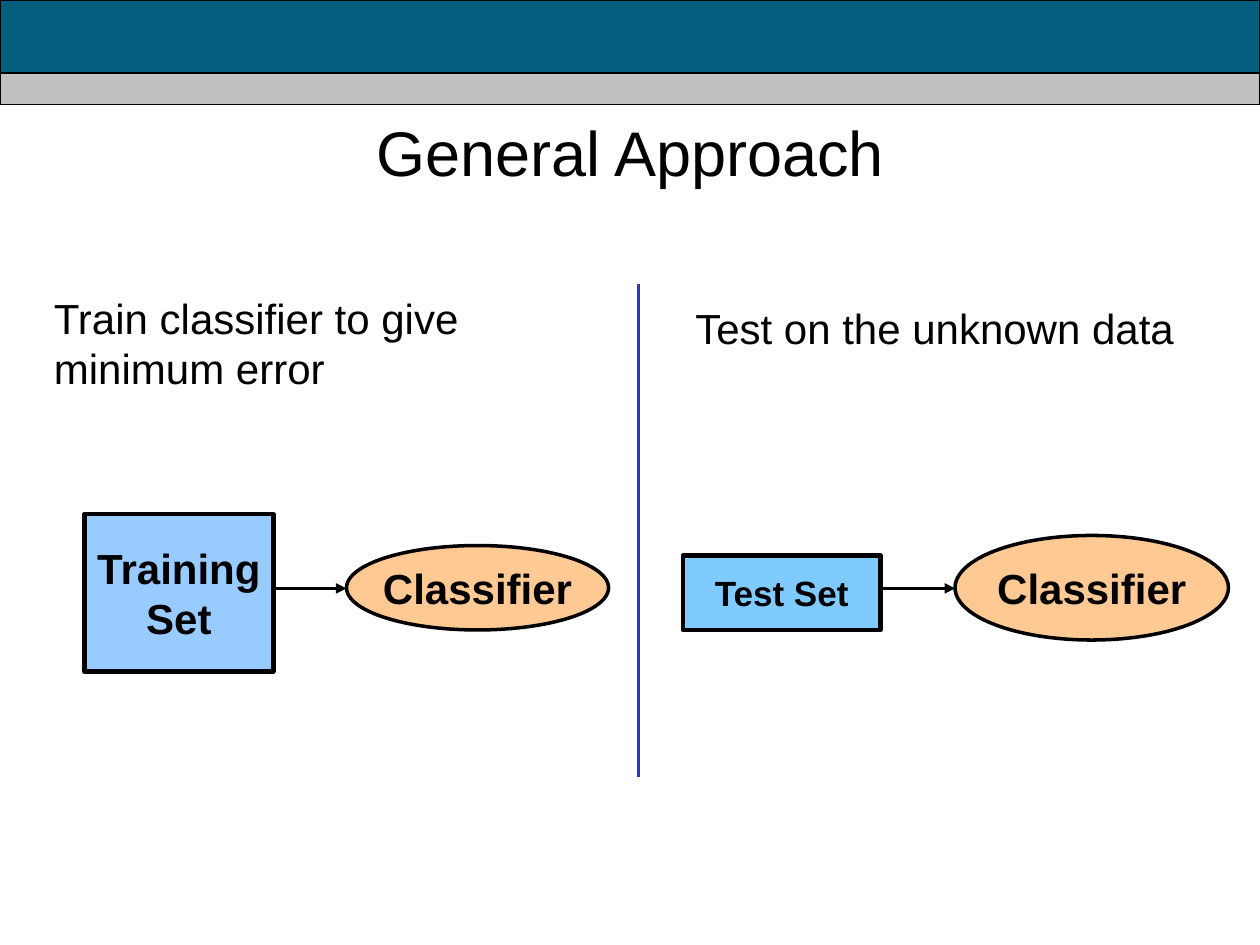
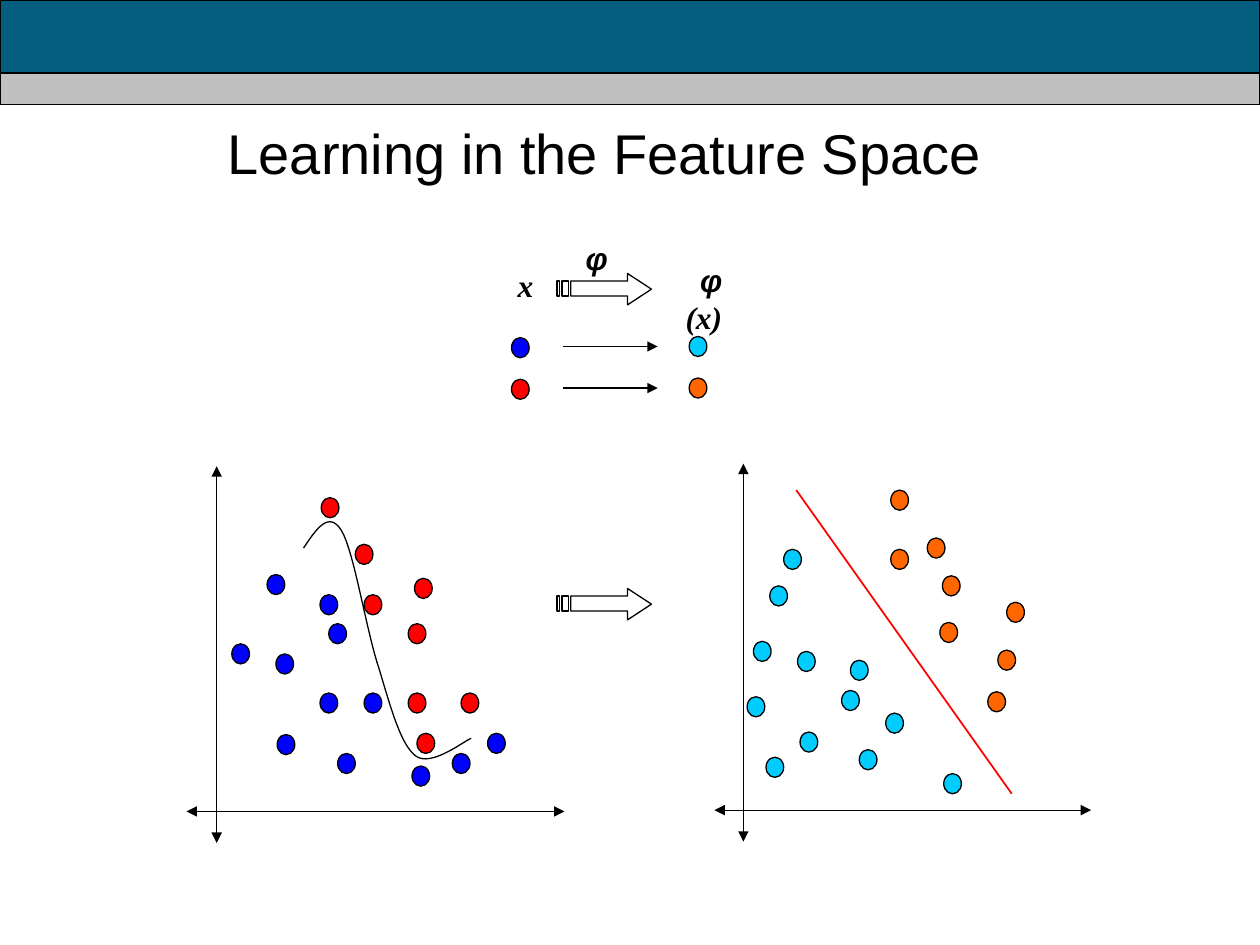
from dataclasses import dataclass
from itertools import pairwise

from lxml.etree import SubElement
from pptx import Presentation
from pptx.dml.color import RGBColor
from pptx.enum.shapes import MSO_CONNECTOR, MSO_SHAPE
from pptx.enum.text import MSO_ANCHOR, PP_ALIGN
from pptx.oxml.ns import qn
from pptx.util import Inches, Pt

BLACK = RGBColor(0, 0, 0)
TEAL = RGBColor(0x04, 0x5E, 0x7E)
GRAY = RGBColor(0xC0, 0xC0, 0xC0)
SKY = RGBColor(0x33, 0x99, 0xFF)
AZURE = RGBColor(0x00, 0x99, 0xFF)
PEACH = RGBColor(0xFF, 0x95, 0x2B)
INDIGO = RGBColor(0x33, 0x33, 0xCC)
RED = RGBColor(0xFF, 0, 0)
BLUE = RGBColor(0, 0, 0xFF)
ORANGE = RGBColor(0xFF, 0x66, 0)
CYAN = RGBColor(0, 0xCC, 0xFF)

SANS, SERIF = "Arial", "Times New Roman"
TITLE_ONLY = 5
DOT_WIDTH, DOT_HEIGHT = 0.14, 0.16
Point = tuple[float, float]


@dataclass
class Node:
    """A labelled box or oval of the classifier flow."""
    text: str
    kind: MSO_SHAPE
    box: tuple[float, float, float, float]
    fill: RGBColor
    line_width: float
    size: int = 24


@dataclass
class Plot:
    """Two crossing axes and the dots of each class, by top left corner."""
    vertical: tuple[Point, Point]
    horizontal: tuple[Point, Point]
    dots: dict[RGBColor, list[Point]]


NODES = [
    Node("Training Set", MSO_SHAPE.RECTANGLE, (0.67, 4.08, 1.5, 1.25), SKY, 2.5),
    Node("Classifier", MSO_SHAPE.OVAL, (2.75, 4.33, 2.08, 0.67), PEACH, 2),
    Node("Test Set", MSO_SHAPE.RECTANGLE, (5.42, 4.41, 1.57, 0.59), AZURE, 2.5, 20),
    Node("Classifier", MSO_SHAPE.OVAL, (7.58, 4.25, 2.17, 0.83), PEACH, 2),
]

INPUT_SPACE = Plot(
    ((1.72, 3.7), (1.72, 6.69)),
    ((1.48, 6.44), (4.48, 6.44)),
    {
        RED: [(2.55, 3.95), (2.82, 4.32), (2.89, 4.72), (3.31, 5.82),
              (3.66, 5.5), (3.24, 5.5), (3.24, 4.95), (3.29, 4.59)],
        BLUE: [(2.54, 4.72), (2.54, 5.5), (2.19, 5.19), (2.68, 5.98),
               (2.12, 4.56), (2.89, 5.5), (3.59, 5.98), (2.61, 4.95),
               (3.27, 6.08), (1.84, 5.11), (2.2, 5.83), (3.87, 5.82)],
    },
)
FEATURE_SPACE = Plot(
    ((5.9, 3.68), (5.9, 6.68)),
    ((5.67, 6.43), (8.66, 6.43)),
    {
        ORANGE: [(7.07, 4.36), (7.07, 3.89), (7.36, 4.27), (7.99, 4.78),
                 (7.84, 5.49), (7.92, 5.16), (7.46, 4.94), (7.48, 4.57)],
        CYAN: [(6.22, 4.36), (6.68, 5.48), (6.33, 5.17), (6.82, 5.95),
               (6.11, 4.65), (7.03, 5.66), (5.93, 5.53), (6.75, 5.24),
               (7.49, 6.14), (5.98, 5.09), (6.35, 5.81), (6.08, 6.01)],
    },
)
# Start point, then two controls and an end point per cubic segment
BOUNDARY = [
    (2.41, 4.35), (2.51, 4.2), (2.61, 4.05), (2.71, 4.21),
    (2.81, 4.37), (2.91, 5.02), (3.01, 5.31),
    (3.1, 5.61), (3.18, 5.91), (3.3, 6.0),
    (3.42, 6.09), (3.67, 5.89), (3.74, 5.86),
]


def inches(*values: float) -> list[int]:
    return [Inches(v) for v in values]


def add_run(p, text: str, *, size: float, font=SANS, bold=False, italic=False) -> None:
    r = p.add_run()
    r.text = text
    r.font.name, r.font.size = font, Pt(size)
    r.font.bold, r.font.italic = bold, italic
    r.font.color.rgb = BLACK


def add_text(s, box, runs: list[tuple[str, str]], *, size: float,
             align=PP_ALIGN.LEFT, wrap=True, emphasis=False) -> None:
    tf = s.shapes.add_textbox(*inches(*box)).text_frame
    tf.word_wrap = wrap
    p = tf.paragraphs[0]
    p.alignment = align
    for text, font in runs:
        add_run(p, text, size=size, font=font, bold=emphasis, italic=emphasis)


def style_shape(shape, *, fill=None, line_width=0.75) -> None:
    shape.shadow.inherit = False
    if fill is None:
        shape.fill.background()
    else:
        shape.fill.solid()
        shape.fill.fore_color.rgb = fill
    shape.line.color.rgb = BLACK
    shape.line.width = Pt(line_width)


def add_shape(shapes, kind, box, *, fill, line_width=0.75):
    shape = shapes.add_shape(kind, *inches(*box))
    style_shape(shape, fill=fill, line_width=line_width)
    return shape


def add_line(shapes, start: Point, end: Point, *, color=BLACK, width=0.75,
             head=False, tail=False) -> None:
    line = shapes.add_connector(MSO_CONNECTOR.STRAIGHT, *inches(*start, *end))
    line.line.color.rgb = color
    line.line.width = Pt(width)
    ln = line.line._get_or_add_ln()
    for tag, wanted in (("a:headEnd", head), ("a:tailEnd", tail)):
        if wanted:
            SubElement(ln, qn(tag), type="triangle")
    SubElement(line.element.spPr, qn("a:effectLst"))


def add_freeform(shapes, contours: list[list[Point]], *, close: bool) -> None:
    builder = shapes.build_freeform(*inches(*contours[0][0]))
    for i, contour in enumerate(contours):
        points = [tuple(inches(*point)) for point in contour]
        if i:
            builder.move_to(*points[0])
        builder.add_line_segments(points[1:], close=close)
    style_shape(builder.convert_to_shape())


def add_dot(shapes, left: float, top: float, color: RGBColor) -> None:
    add_shape(shapes, MSO_SHAPE.OVAL, (left, top, DOT_WIDTH, DOT_HEIGHT), fill=color)


def add_striped_arrow(s, left: float, top: float) -> None:
    upper, lower, middle = top + 0.06, top + 0.18, top + 0.125
    neck, body = left + 0.56, left + 0.11
    arrow = [(neck, top), (neck, upper), (body, upper), (body, lower),
             (neck, lower), (neck, top + 0.25), (left + 0.75, middle)]
    stripes = [
        [(left + a, upper), (left + a, lower), (left + b, lower), (left + b, upper)]
        for a, b in ((0.04, 0.09), (0, 0.02))
    ]
    add_freeform(s.shapes, [arrow, *stripes], close=True)


def bezier_points(controls: list[Point], steps: int = 16) -> list[Point]:
    points = [controls[0]]
    for i in range(0, len(controls) - 1, 3):
        segment = controls[i:i + 4]
        for step in range(1, steps + 1):
            t = step / steps
            weights = ((1 - t) ** 3, 3 * t * (1 - t) ** 2, 3 * t * t * (1 - t), t ** 3)
            points.append(tuple(
                sum(w * c[axis] for w, c in zip(weights, segment)) for axis in (0, 1)
            ))
    return points


def add_plot(s, plot: Plot):
    """Draw the plot as a group and return its shapes."""
    shapes = s.shapes.add_group_shape().shapes
    for axis in (plot.vertical, plot.horizontal):
        add_line(shapes, *axis, head=True, tail=True)
    for color, corners in plot.dots.items():
        for corner in corners:
            add_dot(shapes, *corner, color)
    return shapes


def add_node(s, node: Node) -> None:
    shape = add_shape(s.shapes, node.kind, node.box, fill=node.fill,
                      line_width=node.line_width)
    color = shape.fill._xPr.find(qn("a:solidFill"))[0]
    SubElement(color, qn("a:alpha"), val="50000")
    tf = shape.text_frame
    tf.margin_left = tf.margin_right = 0
    tf.word_wrap = node.kind == MSO_SHAPE.RECTANGLE
    tf.vertical_anchor = MSO_ANCHOR.MIDDLE
    p = tf.paragraphs[0]
    p.alignment = PP_ALIGN.CENTER
    add_run(p, node.text, size=node.size, bold=True)


def add_master_bands(prs, s) -> None:
    """Build the header bands on a slide, then move them to the master."""
    tree = prs.slide_master.shapes.element
    for i, (top, height, fill) in enumerate(((0, 0.83, TEAL), (0.58, 0.25, GRAY))):
        band = add_shape(s.shapes, MSO_SHAPE.RECTANGLE, (0, top, 10, height), fill=fill)
        band.element.nvSpPr.cNvPr.set("id", str(100 + i))
        tree.insert(2 + i, band.element)


def add_slide(prs, title: str, *, left: float, width: float, size: int):
    s = prs.slides.add_slide(prs.slide_layouts[TITLE_ONLY])
    shape = s.shapes.title
    shape.left, shape.top, shape.width, shape.height = inches(left, 0.58, width, 1.25)
    tf = shape.text_frame
    tf.vertical_anchor = MSO_ANCHOR.MIDDLE
    p = tf.paragraphs[0]
    p.alignment = PP_ALIGN.CENTER
    add_run(p, title, size=size)
    return s


def build_approach(prs):
    s = add_slide(prs, "General Approach", left=0.5, width=9, size=36)
    add_text(s, (0.33, 2.27, 4.67, 0.9),
             [("Train classifier to give minimum error", SANS)], size=24)
    add_text(s, (5.42, 2.35, 4.17, 0.5), [("Test on the unknown data", SANS)], size=24)
    for node in NODES:
        add_node(s, node)
    for source, target in list(pairwise(NODES))[::2]:
        start = source.box[0] + source.box[2]
        add_line(s.shapes, (start, 4.67), (target.box[0], 4.67), width=2, tail=True)
    add_line(s.shapes, (5.07, 2.25), (5.07, 6.17), color=INDIGO, width=1.75)
    return s


def build_feature_space(prs) -> None:
    s = add_slide(prs, "Learning in the Feature Space", left=0, width=9.6, size=32)
    shapes = add_plot(s, INPUT_SPACE)
    add_freeform(shapes, [bezier_points(BOUNDARY)], close=False)
    shapes = add_plot(s, FEATURE_SPACE)
    add_line(shapes, (6.32, 3.89), (8.03, 6.3), color=RED, width=1)

    for box, runs in (
        ((5.15, 2.02, 0.68, 0.4), [("φ", SANS), (" (x)", SERIF)]),
        ((4.55, 1.85, 0.33, 0.4), [("φ", SANS)]),
        ((4.01, 2.06, 0.32, 0.4), [("x", SERIF)]),
    ):
        add_text(s, box, runs, size=18, align=PP_ALIGN.RIGHT,
                 wrap=len(runs) > 1, emphasis=True)
    for top in (2.17, 4.67):
        add_striped_arrow(s, 4.42, top)
    for top, before, after in ((2.67, BLUE, CYAN), (3.0, RED, ORANGE)):
        add_dot(s.shapes, 4.06, top + 0.01, before)
        add_dot(s.shapes, 5.47, top, after)
        add_line(s.shapes, (4.47, top + 0.08), (5.22, top + 0.08), tail=True)


def main() -> None:
    prs = Presentation()
    prs.slide_width, prs.slide_height = inches(10, 7.5)
    first = build_approach(prs)
    add_master_bands(prs, first)
    build_feature_space(prs)
    prs.save("out.pptx")


if __name__ == "__main__":
    main()
